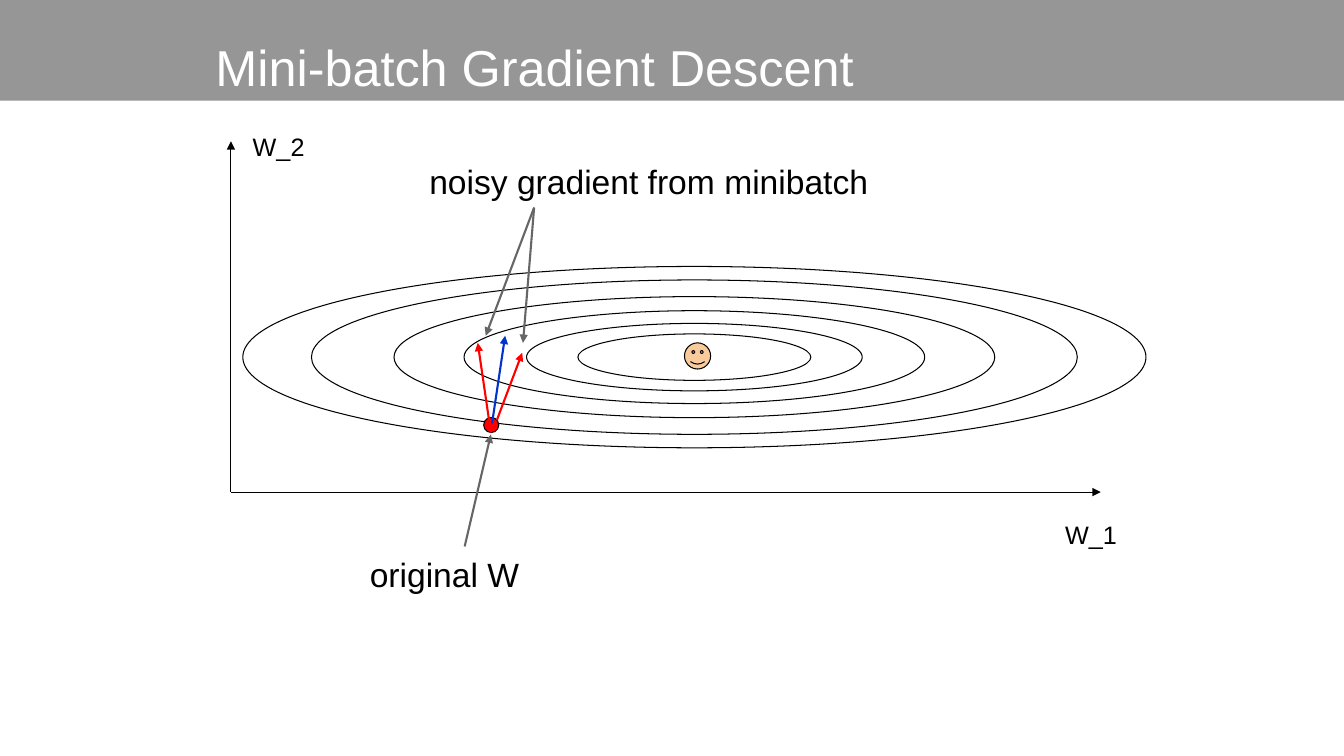
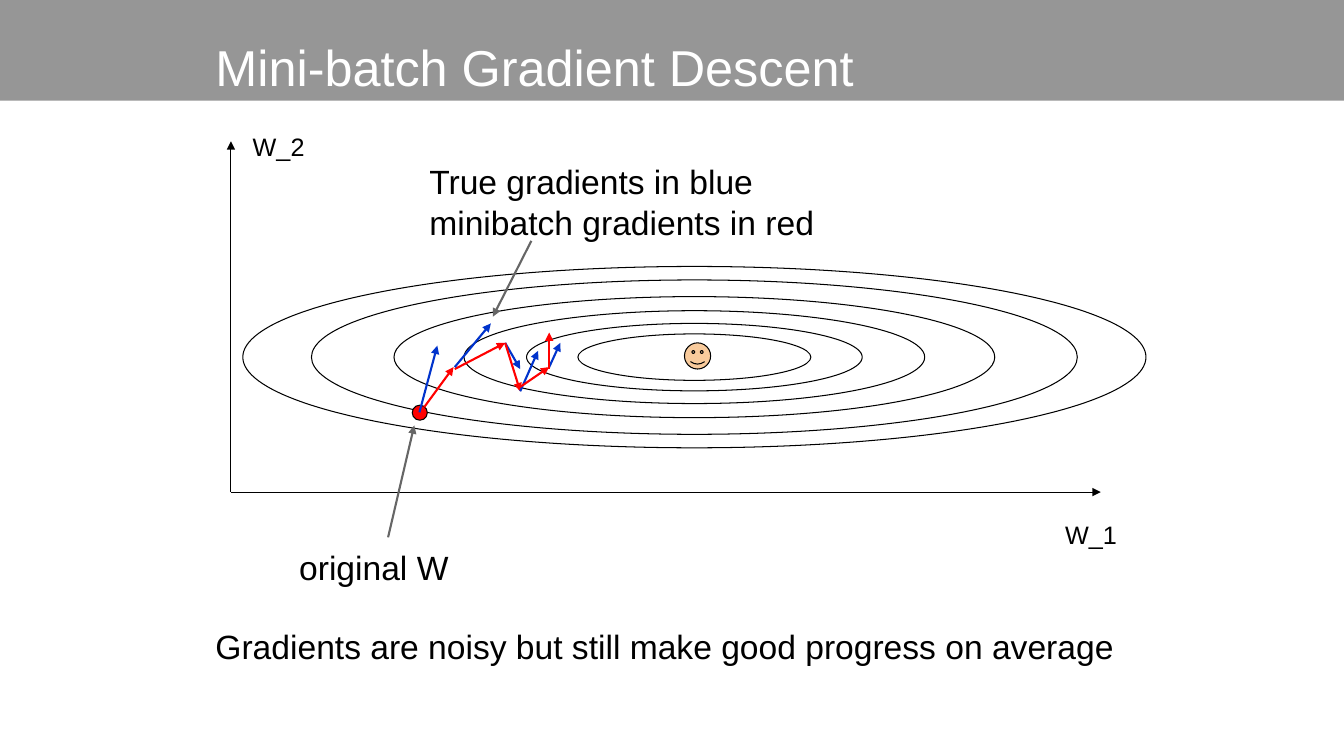
"""Build two slides on mini-batch gradient descent over elliptical contours."""
import pptx
import pptx.dml.color
import pptx.enum.shapes
import pptx.oxml
import pptx.oxml.ns
import pptx.util

Cm = pptx.util.Cm
Pt = pptx.util.Pt
rgb = pptx.dml.color.RGBColor.from_string
SHAPE = pptx.enum.shapes.MSO_SHAPE

FONT = "Arial"
BLACK, WHITE, BAND = "000000", "FFFFFF", "969696"
GREY, RED, BLUE, SKIN = "666666", "FF0000", "0033CC", "F9CB9C"
CENTER_X, CENTER_Y = 17.5, 9
CONTOURS = [(22.76, 4.57), (19.3, 3.89), (15.14, 3.05),
            (11.61, 2.34), (8.46, 1.7), (5.87, 1.17)]
DOT, FACE = 0.38, 0.66
AXES = [(5.82, 12.4, 27.74, 12.4), (5.82, 12.4, 5.82, 3.56)]


def add_text(s, text, x, y, w, h, size=24, color=BLACK):
    tf = s.shapes.add_textbox(Cm(x), Cm(y), Cm(w), Cm(h)).text_frame
    tf.word_wrap = True
    tf.margin_left = tf.margin_right = Cm(0.25)
    tf.margin_top = tf.margin_bottom = Cm(0.25)
    tf.text = text
    for p in tf.paragraphs:
        for r in p.runs:
            r.font.name = FONT
            r.font.size = Pt(size)
            r.font.color.rgb = rgb(color)


def add_arrow(s, x1, y1, x2, y2, color, width=1.5):
    line = s.shapes.add_connector(
        pptx.enum.shapes.MSO_CONNECTOR.STRAIGHT, Cm(x1), Cm(y1), Cm(x2), Cm(y2))
    line.line.color.rgb = rgb(color)
    line.line.width = Pt(width)
    ns = pptx.oxml.ns.nsdecls("a")
    ln = line.line._get_or_add_ln()
    ln.append(pptx.oxml.parse_xml(f'<a:tailEnd {ns} type="triangle"/>'))
    ln.getparent().append(pptx.oxml.parse_xml(f"<a:effectLst {ns}/>"))


slides = [
    {
        "texts": [("original W", 9.07, 13.72, 5.28, 1.45),
                  ("noisy gradient from minibatch", 10.57, 3.81, 13.79, 1.45)],
        "dot": (12.38, 10.71),
        "arrows": [
            (13.46, 5.23, 12.24, 8.46, GREY),
            (13.46, 5.23, 13.18, 8.64, GREY),
            (11.71, 13.77, 12.37, 10.95, GREY),
            (12.4, 10.67, 12.73, 8.46, BLUE),
            (12.52, 10.59, 13.16, 8.89, RED),
            (12.37, 10.9, 12.04, 8.64, RED),
        ],
    },
    {
        "texts": [("original W", 7.29, 13.54, 5.28, 1.45),
                  ("True gradients in blue\nminibatch gradients in red",
                   10.57, 3.81, 13.79, 2.5),
                  ("Gradients are noisy but still make good progress on average",
                   5.18, 15.52, 23.7, 1.45)],
        "dot": (10.58, 10.4),
        "arrows": [
            (13.39, 6.07, 12.42, 7.98, GREY),
            (9.78, 13.54, 10.44, 10.72, GREY),
            (10.57, 10.39, 11.02, 8.71, BLUE),
            (10.69, 10.26, 11.43, 9.25, RED),
            (11.46, 9.3, 12.73, 8.64, RED),
            (12.73, 8.64, 13.11, 9.3, BLUE),
            (11.46, 9.25, 12.37, 8.15, BLUE),
            (12.73, 8.64, 13.11, 9.86, RED),
            (13.11, 9.86, 13.56, 8.84, BLUE),
            (13.11, 9.75, 13.84, 9.25, RED),
            (13.84, 9.25, 14.12, 8.64, BLUE),
            (13.84, 9.3, 13.84, 8.38, RED),
        ],
    },
]

prs = pptx.Presentation()
prs.slide_width, prs.slide_height = Cm(33.87), Cm(19.05)

for slide in slides:
    s = prs.slides.add_slide(prs.slide_layouts[6])
    band = s.shapes.add_shape(SHAPE.RECTANGLE, 0, 0, prs.slide_width, Cm(2.54))
    band.shadow.inherit = False
    band.fill.solid()
    band.fill.fore_color.rgb = rgb(BAND)
    band.line.fill.background()
    add_text(s, "Mini-batch Gradient Descent", 5.18, 0.65, 22.33, 2.51, 36, WHITE)

    for axis in AXES:
        add_arrow(s, *axis, BLACK, 0.75)
    add_text(s, "W_1", 26.59, 12.83, 2.59, 1.12, 18)
    add_text(s, "W_2", 6.12, 3.07, 2.59, 1.12, 18)

    outlined = [(SHAPE.OVAL, CENTER_X, CENTER_Y, w, h, None) for w, h in CONTOURS]
    outlined.append((SHAPE.OVAL, *slide["dot"], DOT, DOT, RED))
    outlined.append((SHAPE.SMILEY_FACE, 17.58, 8.97, FACE, FACE, SKIN))
    for kind, cx, cy, w, h, fill in outlined:
        sp = s.shapes.add_shape(kind, Cm(cx - w / 2), Cm(cy - h / 2), Cm(w), Cm(h))
        sp.shadow.inherit = False
        sp.line.color.rgb = rgb(BLACK)
        sp.line.width = Pt(0.75)
        if fill:
            sp.fill.solid()
            sp.fill.fore_color.rgb = rgb(fill)
        else:
            sp.fill.background()

    for text in slide["texts"]:
        add_text(s, *text)
    for arrow in slide["arrows"]:
        add_arrow(s, *arrow)

prs.save("out.pptx")
